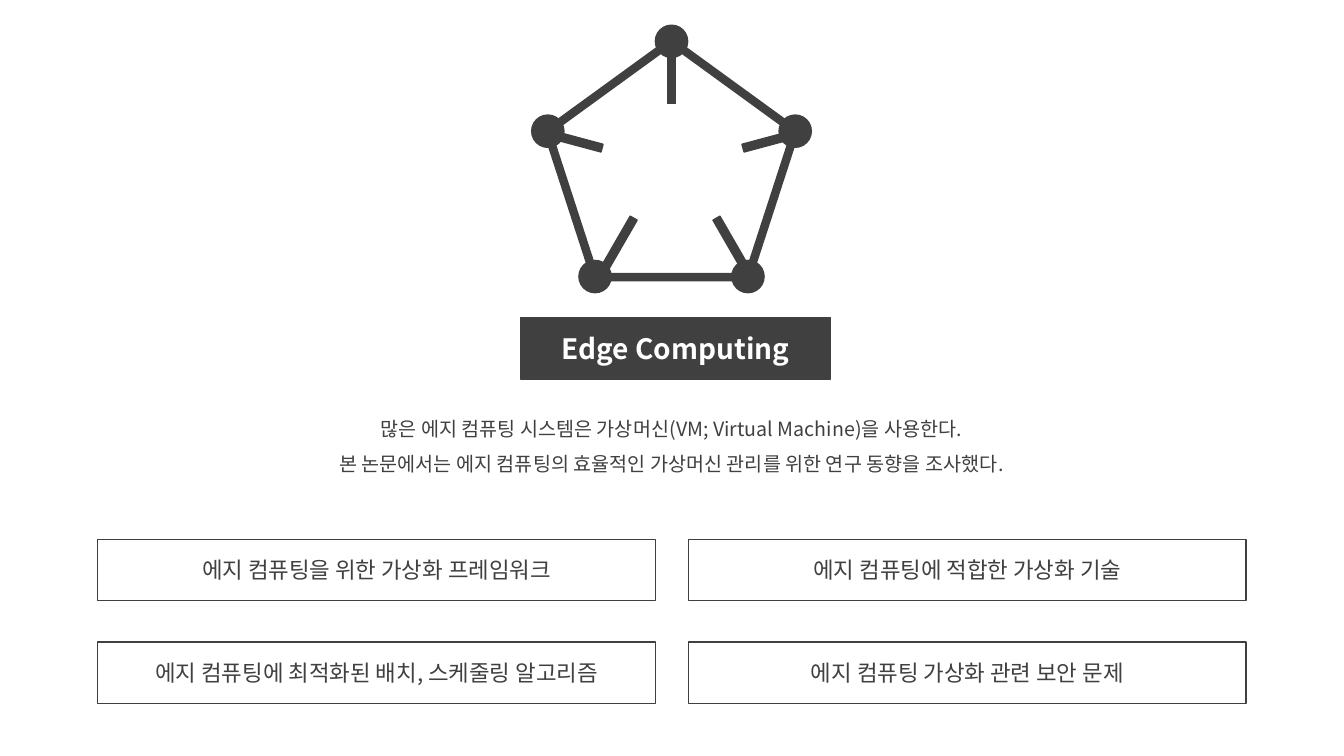
"""Build the edge computing summary slide."""
from math import cos, radians, sin

from lxml.etree import SubElement
from pptx import Presentation
from pptx.dml.color import RGBColor
from pptx.enum.shapes import MSO_SHAPE
from pptx.enum.text import MSO_ANCHOR, MSO_AUTO_SIZE, PP_ALIGN
from pptx.oxml.ns import qn
from pptx.util import Inches, Pt

DARK = RGBColor(0x40, 0x40, 0x40)
WHITE = RGBColor(0xFF, 0xFF, 0xFF)
FONT = "Noto Sans CJK KR"
INTRO = [
    "많은 에지 컴퓨팅 시스템은 가상머신(VM; Virtual Machine)을 사용한다.",
    "본 논문에서는 에지 컴퓨팅의 효율적인 가상머신 관리를 위한 연구 동향을 조사했다.",
]
TOPICS = [
    "에지 컴퓨팅을 위한 가상화 프레임워크",
    "에지 컴퓨팅에 적합한 가상화 기술",
    "에지 컴퓨팅에 최적화된 배치, 스케줄링 알고리즘",
    "에지 컴퓨팅 가상화 관련 보안 문제",
]
SPOKES = [
    (6.62, 0.41, 0.62, 0),
    (6.08, 2.12, 0.66, 30),
    (5.67, 1.13, 0.54, 105),
    (7.59, 1.13, 0.54, 75),
    (7.23, 2.12, 0.66, 150),
]


def paint(shape, fill=None, width=1):
    """Fill and outline a shape."""
    if fill is None:
        shape.fill.background()
    else:
        shape.fill.solid()
        shape.fill.fore_color.rgb = fill
    shape.line.color.rgb = DARK
    shape.line.width = Pt(width)


def draw(shapes, kind, box, fill=None, width=1):
    """Add a preset shape without shadow."""
    shape = shapes.add_shape(kind, *map(Inches, box))
    shape.shadow.inherit = False
    paint(shape, fill, width)
    return shape


def write(frame, lines, size, color=DARK, bold=False, space=1.0):
    """Write centred lines into a text frame."""
    frame.vertical_anchor = MSO_ANCHOR.MIDDLE
    style = {"size": Pt(size), "bold": bold, "name": FONT}
    for i, text in enumerate(lines):
        para = frame.add_paragraph() if i else frame.paragraphs[0]
        para.alignment = PP_ALIGN.CENTER
        para.line_spacing = space
        run = para.add_run()
        run.text = text
        run.font.color.rgb = color
        for key, value in style.items():
            setattr(run.font, key, value)
        SubElement(run.font._element, qn("a:ea"), typeface=FONT)


def network(slide):
    """Draw the pentagon with its spokes and nodes."""
    shapes = slide.shapes.add_group_shape().shapes
    draw(shapes, MSO_SHAPE.REGULAR_PENTAGON, (5.43, 0.41, 2.46, 2.34), width=6)
    for left, top, height, angle in SPOKES:
        box = (left, top, 0.08, height)
        draw(shapes, MSO_SHAPE.RECTANGLE, box, DARK).rotation = angle
    radius, size = 1.29, 0.32
    for i in range(5):
        turn = radians(72 * i)
        left = 6.66 + radius * sin(turn) - size / 2
        top = 1.7 - radius * cos(turn) - size / 2
        draw(shapes, MSO_SHAPE.OVAL, (left, top, size, size), DARK)


def heading(slide, text):
    """Place the title as a dark banner."""
    title = slide.shapes.title
    place = {"left": 5.16, "top": 3.15, "width": 3.08, "height": 0.61}
    for key, value in place.items():
        setattr(title, key, Inches(value))
    paint(title, DARK)
    title.text_frame.auto_size = MSO_AUTO_SIZE.NONE
    write(title.text_frame, [text], 20, WHITE, True)


def intro(slide):
    """Add the two introductory lines."""
    box = slide.shapes.add_textbox(*map(Inches, (2.88, 3.99, 7.56, 0.76)))
    box.text_frame.word_wrap = False
    box.text_frame.auto_size = MSO_AUTO_SIZE.SHAPE_TO_FIT_TEXT
    write(box.text_frame, INTRO, 14, space=1.5)


def topics(slide):
    """Lay out the topic boxes in two columns."""
    for i, text in enumerate(TOPICS):
        row, col = divmod(i, 2)
        box = (0.97 + 5.86 * col, 5.35 + 1.02 * row, 5.53, 0.61)
        shape = draw(slide.shapes, MSO_SHAPE.RECTANGLE, box)
        write(shape.text_frame, [text], 16)


def main():
    """Create and save the slide."""
    deck = Presentation()
    deck.slide_width, deck.slide_height = Inches(13.33), Inches(7.5)
    slide = deck.slides.add_slide(deck.slide_layouts[5])
    network(slide)
    heading(slide, "Edge Computing")
    intro(slide)
    topics(slide)
    deck.save("out.pptx")


if __name__ == "__main__":
    main()
